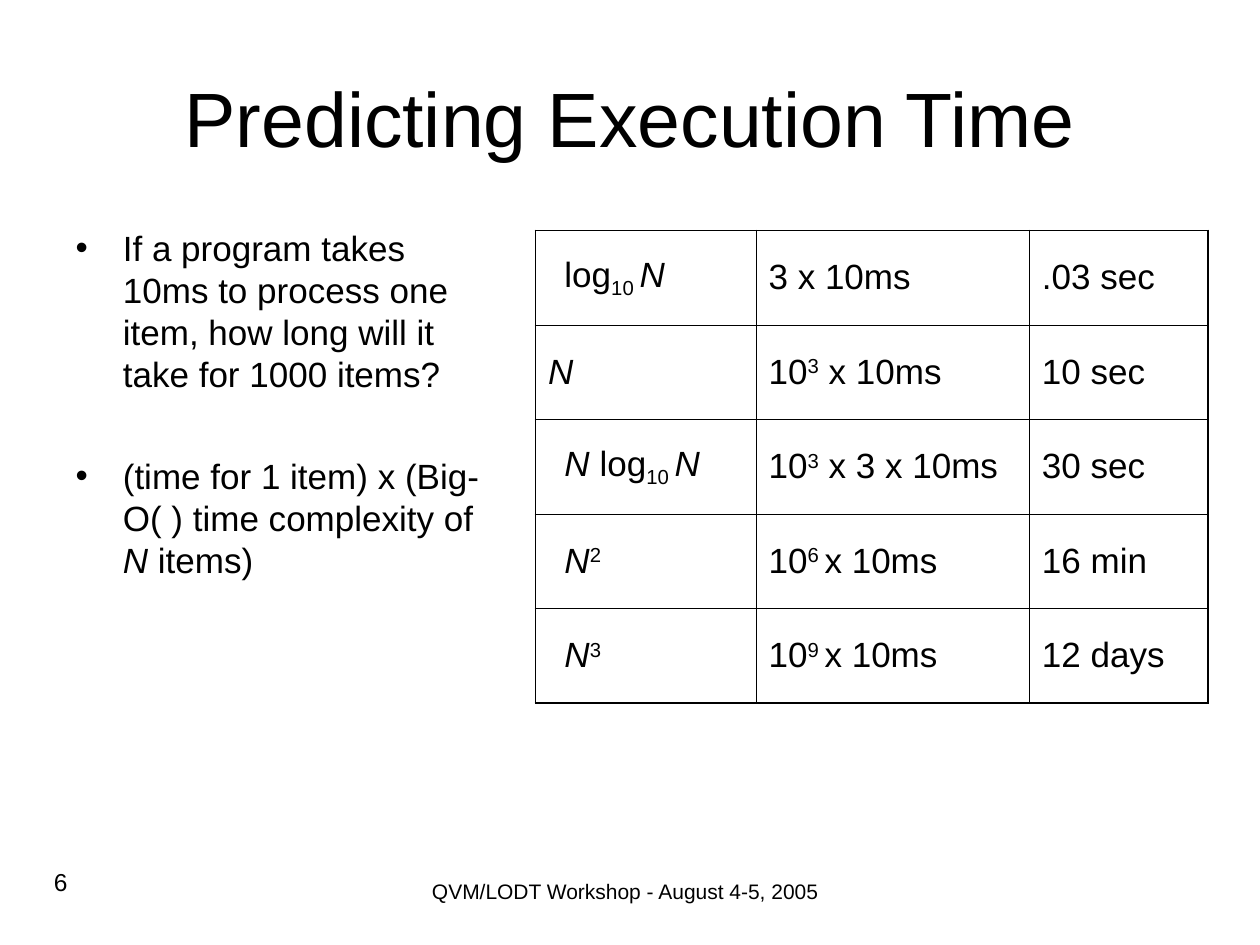
from pptx import Presentation
from pptx.dml.color import RGBColor
from pptx.enum.text import MSO_ANCHOR, MSO_AUTO_SIZE, PP_ALIGN
from pptx.oxml.ns import qn
from pptx.util import Inches, Pt
from lxml.etree import SubElement

BLACK, WHITE = "000000", "FFFFFF"
TITLE = [("Predicting Execution Time", "")]
BULLETS = [
    [("If a program takes 10ms to process one item, how long will it take for 1000 items?", "")],
    [("(time for 1 item) x (Big-O( ) time complexity of ", ""), ("N", "italic"), (" items)", "")],
]
FOOTER = [("QVM/LODT Workshop - August 4-5, 2005", "")]
PAGE_NUMBER = [("6", "")]

N = ("N", "italic")
LOG_BASE = ("10 ", "sub")
TIMES = [
    ([("log", ""), LOG_BASE, N], [("3 x 10ms", "")], [(".03 sec", "")]),
    ([N], [("10", ""), ("3", "super"), (" x 10ms", "")], [("10 sec", "")]),
    ([N, (" log", ""), LOG_BASE, N], [("10", ""), ("3", "super"), (" x 3 x 10ms", "")], [("30 sec", "")]),
    ([N, ("2", "super")], [("10", ""), ("6 ", "super"), ("x 10ms", "")], [("16 min", "")]),
    ([N, ("3", "super")], [("10", ""), ("9 ", "super"), ("x 10ms", "")], [("12 days", "")]),
]
INDENTED_ROWS = (0, 2, 3, 4)
COLUMN_WIDTHS = (1.75, 2.17, 1.42)
ROW_HEIGHT = 0.75
BASELINES = {"sub": "-25000", "super": "30000"}
OUTER_LINE, INNER_LINE = 1.08, 0.45


def color(value):
    return RGBColor.from_string(value)


def write(paragraph, runs, size=20, before=0, align=None):
    paragraph.space_before = Pt(before)
    paragraph.alignment = align
    for text, style in runs:
        run = paragraph.add_run()
        run.text = text
        run.font.name = "Arial"
        run.font.size = Pt(size)
        run.font.color.rgb = color(BLACK)
        run.font.italic = style == "italic"
        if style in BASELINES:
            run.font._element.set("baseline", BASELINES[style])


def place(shape, left, top, width, height):
    shape.left, shape.top = Inches(left), Inches(top)
    shape.width, shape.height = Inches(width), Inches(height)
    shape.text_frame.word_wrap = True
    shape.text_frame.auto_size = MSO_AUTO_SIZE.NONE
    return shape.text_frame


def add_text(slide, box, runs, **style):
    shape = slide.shapes.add_textbox(0, 0, 0, 0)
    write(place(shape, *box).paragraphs[0], runs, **style)


def set_border(cell, side, width):
    properties = cell._tc.get_or_add_tcPr()
    line = SubElement(properties, qn(f"a:ln{side}"), w=str(Pt(width)))
    fill = SubElement(line, qn("a:solidFill"))
    SubElement(fill, qn("a:srgbClr"), val=BLACK)


def add_times_table(slide):
    rows, columns = len(TIMES), len(COLUMN_WIDTHS)
    table = slide.shapes.add_table(
        rows, columns, Inches(4.25), Inches(1.83),
        Inches(sum(COLUMN_WIDTHS)), Inches(ROW_HEIGHT * rows),
    ).table
    table.first_row = table.horz_banding = False
    for column, width in zip(table.columns, COLUMN_WIDTHS):
        column.width = Inches(width)
    for row, contents in enumerate(TIMES):
        for column, runs in enumerate(contents):
            cell = table.cell(row, column)
            edges = {"L": column == 0, "R": column == columns - 1,
                     "T": row == 0, "B": row == rows - 1}
            for side, outer in edges.items():
                set_border(cell, side, OUTER_LINE if outer else INNER_LINE)
            cell.fill.solid()
            cell.fill.fore_color.rgb = color(WHITE)
            cell.vertical_anchor = MSO_ANCHOR.MIDDLE
            paragraph = cell.text_frame.paragraphs[0]
            write(paragraph, runs, before=5)
            if column == 0 and row in INDENTED_ROWS:
                paragraph._p.get_or_add_pPr().set("marL", str(Inches(0.13)))


def main():
    presentation = Presentation()
    presentation.slide_width, presentation.slide_height = Inches(10), Inches(7.5)
    slide = presentation.slides.add_slide(presentation.slide_layouts[1])

    title = place(slide.shapes.title, 0.5, 0.3, 9, 1.25)
    title.vertical_anchor = MSO_ANCHOR.MIDDLE
    write(title.paragraphs[0], TITLE, size=44, align=PP_ALIGN.CENTER)

    body = place(slide.placeholders[1], 0.5, 1.75, 3.42, 4.95)
    for index, runs in enumerate(BULLETS):
        paragraph = body.add_paragraph() if index else body.paragraphs[0]
        write(paragraph, runs, before=34 if index else 5)

    add_times_table(slide)
    add_text(slide, (3.33, 6.92, 4.08, 0.3), FOOTER, size=12, before=7.5)
    add_text(slide, (0.33, 6.83, 2.33, 0.52), PAGE_NUMBER, size=14)
    presentation.save("out.pptx")


if __name__ == "__main__":
    main()
